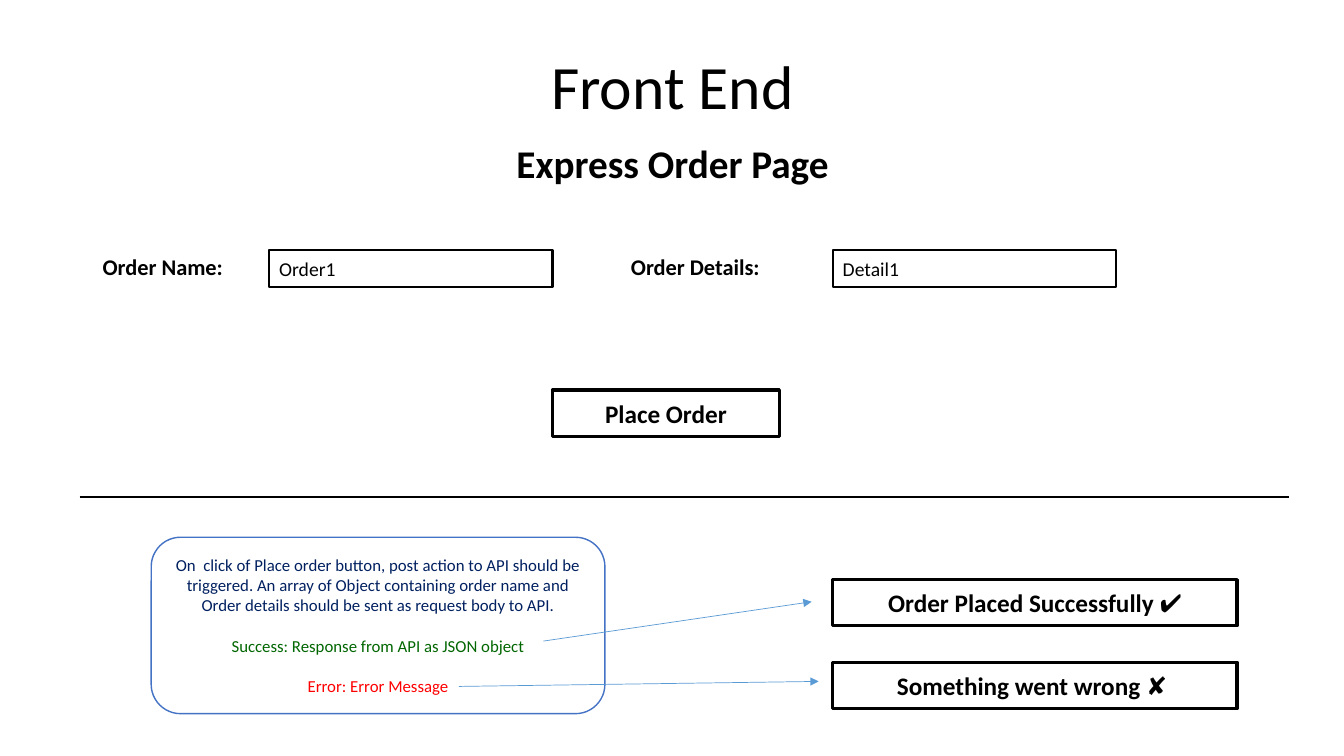
"""Build the Front End slide: an order form above its API behaviour and result messages."""
import lxml.etree
import pptx
import pptx.dml.color
import pptx.enum.shapes
import pptx.enum.text
import pptx.oxml.ns
import pptx.util

BLACK = pptx.dml.color.RGBColor(0x00, 0x00, 0x00)
WHITE = pptx.dml.color.RGBColor(0xFF, 0xFF, 0xFF)
NAVY = pptx.dml.color.RGBColor(0x00, 0x20, 0x60)
GREEN = pptx.dml.color.RGBColor(0x00, 0x66, 0x00)
RED = pptx.dml.color.RGBColor(0xFF, 0x00, 0x00)
BORDER_BLUE = pptx.dml.color.RGBColor(0x44, 0x72, 0xC4)
ARROW_BLUE = pptx.dml.color.RGBColor(0x5B, 0x9B, 0xD5)

SHAPES = pptx.enum.shapes.MSO_SHAPE
LEFT = pptx.enum.text.PP_ALIGN.LEFT
CENTER = pptx.enum.text.PP_ALIGN.CENTER
GRID_STEP = 0.1


class Sketch:
    """Hold the font, the grid and the current slide."""

    def __init__(self, deck, font="Calibri"):
        self.page = deck.slides.add_slide(deck.slide_layouts[6])
        self.font = font

    def cells(self, *counts):
        return [pptx.util.Inches(count * GRID_STEP) for count in counts]

    def add_text(self, box, lines, size, bold=False, align=CENTER, gap=0, spacing=1.0):
        frame = box.text_frame
        frame.word_wrap = True
        frame.vertical_anchor = pptx.enum.text.MSO_ANCHOR.MIDDLE
        for index, (text, color) in enumerate(lines):
            para = frame.add_paragraph() if index else frame.paragraphs[0]
            para.alignment = align
            para.line_spacing = spacing
            para.space_before = pptx.util.Pt(gap if index else 0)
            span = para.add_run()
            span.text = text
            span.font.name = self.font
            span.font.size = pptx.util.Pt(size)
            span.font.bold = bold
            span.font.color.rgb = color

    def label(self, area, text, size, **style):
        box = self.page.shapes.add_textbox(*self.cells(*area))
        self.add_text(box, [(text, BLACK)], size, spacing=0.9, **style)

    def panel(self, area, lines, size, width, kind=SHAPES.RECTANGLE, border=BLACK, **style):
        box = self.page.shapes.add_shape(kind, *self.cells(*area))
        box.shadow.inherit = False
        box.fill.solid()
        box.fill.fore_color.rgb = WHITE
        box.line.color.rgb = border
        box.line.width = pptx.util.Pt(width)
        self.add_text(box, lines, size, **style)

    def field(self, column, text):
        self.panel((column, 24.8, 28.1, 3.7), [(text, BLACK)], 14, 1.5, align=LEFT)

    def button(self, column, row, columns, text):
        self.panel((column, row, columns, 4.6), [(text, BLACK)], 18, 2.25, bold=True)

    def line(self, start, end, color, width, arrow=False):
        straight = pptx.enum.shapes.MSO_CONNECTOR.STRAIGHT
        link = self.page.shapes.add_connector(straight, *self.cells(*start, *end))
        link.line.color.rgb = color
        link.line.width = pptx.util.Pt(width)
        properties = link.element.spPr
        if arrow:
            outline = properties.find(pptx.oxml.ns.qn("a:ln"))
            lxml.etree.SubElement(outline, pptx.oxml.ns.qn("a:tailEnd"), type="triangle")
        lxml.etree.SubElement(properties, pptx.oxml.ns.qn("a:effectLst"))


deck = pptx.Presentation()
deck.slide_width = pptx.util.Inches(13.33)
deck.slide_height = pptx.util.Inches(7.5)
sketch = Sketch(deck)

sketch.label((9.2, 4, 115, 9.8), "Front End", 44)
sketch.label((9.2, 13.8, 115, 5.3), "Express Order Page", 28, bold=True)

form = [(9.2, "Order Name:", 26.7, "Order1"), (61.6, "Order Details:", 82.6, "Detail1")]
for label_column, name, field_column, value in form:
    sketch.label((label_column, 24.8, 16, 3.7), name, 16, bold=True, align=LEFT)
    sketch.field(field_column, value)
sketch.button(54.8, 38.7, 22.5, "Place Order")

behaviour = [
    ("On  click of Place order button, post action to API should be triggered. "
     "An array of Object containing order name and Order details should be sent "
     "as request body to API.", NAVY),
    ("Success: Response from API as JSON object", GREEN),
    ("Error: Error Message", RED),
]
sketch.panel((15, 53.3, 45, 17.5), behaviour, 12, 1,
             kind=SHAPES.ROUNDED_RECTANGLE, border=BORDER_BLUE, gap=14.6)

results = [
    (57.5, "Order Placed Successfully \u2714", (53.9, 63.6), (80.5, 59.7)),
    (65.7, "Something went wrong \u2718 ", (45.5, 68.1), (81.2, 67.6)),
]
for row, message, start, end in results:
    sketch.button(82.6, row, 40.1, message)
    sketch.line(start, end, ARROW_BLUE, 0.5, arrow=True)
sketch.line((7.9, 49.3), (127.8, 49.3), BLACK, 1.5)

deck.save("out.pptx")
